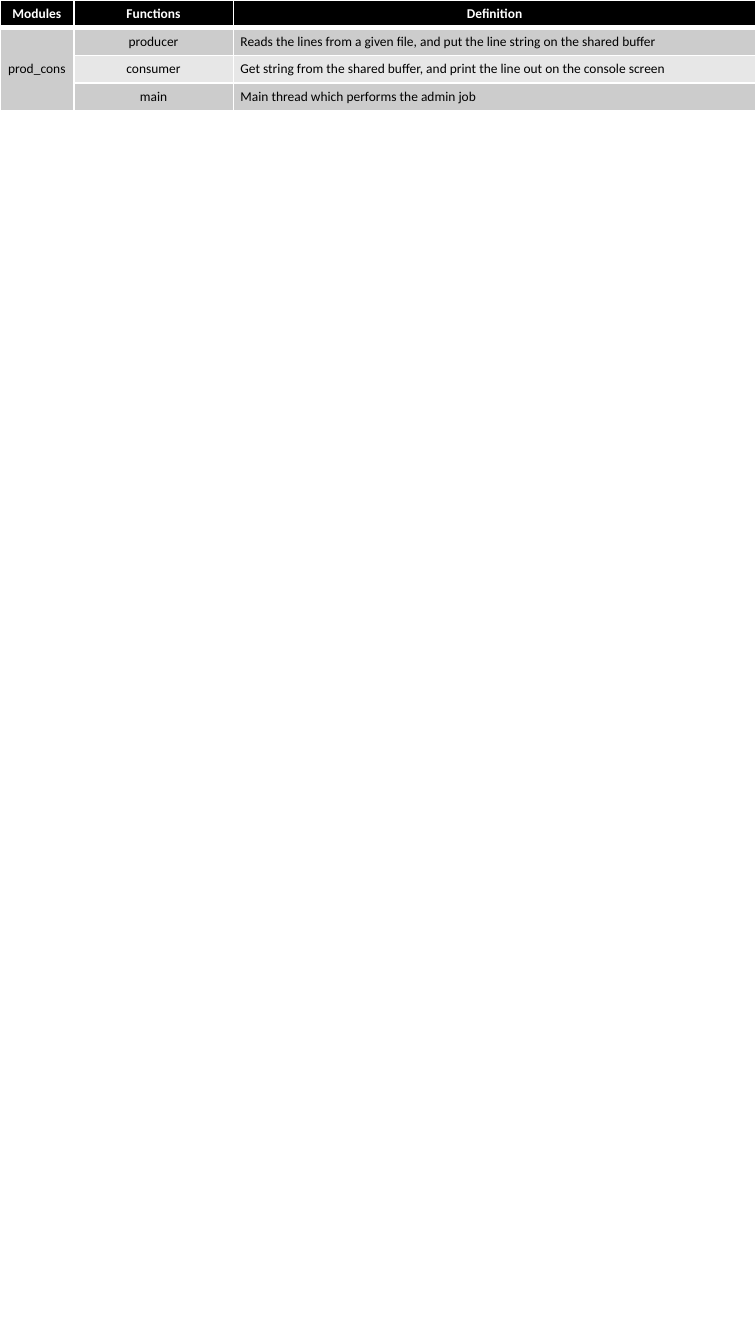
from lxml.etree import SubElement
from pptx import Presentation
from pptx.dml.color import RGBColor
from pptx.enum.text import MSO_ANCHOR as Anchor, PP_ALIGN as Align
from pptx.oxml.ns import qn
from pptx.util import Cm, Pt

WHITE = RGBColor(0xFF, 0xFF, 0xFF)
BLACK = RGBColor(0x00, 0x00, 0x00)
DARK_BAND = RGBColor(0xCC, 0xCC, 0xCC)
LIGHT_BAND = RGBColor(0xE7, 0xE7, 0xE7)

PAGE_WIDTH, PAGE_HEIGHT = Cm(15.88), Cm(28.22)
COLUMN_WIDTHS = (Cm(1.55), Cm(3.35), Cm(10.98))
ROW_HEIGHT = Cm(0.58)
THIN, THICK = Pt(1), Pt(3)

ROWS = (
    ("Modules", "Functions", "Definition"),
    ("prod_cons", "producer",
     "Reads the lines from a given file, and put the line string on the shared buffer"),
    ("", "consumer",
     "Get string from the shared buffer, and print the line out on the console screen"),
    ("", "main", "Main thread which performs the admin job"),
)


def add_borders(cell, top, bottom):
    """Draw white borders around a cell."""
    properties = cell._tc.get_or_add_tcPr()
    for side, width in (("L", THIN), ("R", THIN), ("T", top), ("B", bottom)):
        line = SubElement(properties, qn(f"a:ln{side}"), w=str(width))
        fill = SubElement(line, qn("a:solidFill"))
        SubElement(fill, qn("a:srgbClr"), val=str(WHITE))


def fill_cell(cell, text, color, is_header, align):
    """Set the fill, margins and text of a cell."""
    cell.fill.solid()
    cell.fill.fore_color.rgb = color
    cell.vertical_anchor = Anchor.MIDDLE
    cell.margin_left = cell.margin_right = Cm(0.15)
    cell.margin_top = cell.margin_bottom = Cm(0.08)
    if not text:
        return
    para = cell.text_frame.paragraphs[0]
    para.alignment = align
    span = para.add_run()
    span.text = text
    span.font.name = "Calibri"
    span.font.size = Pt(8)
    span.font.bold = is_header
    span.font.color.rgb = WHITE if is_header else BLACK


def add_module_table(page, left, top, width, height):
    """Place the table of modules and their functions in the given box."""
    frame = page.shapes.add_table(len(ROWS), len(COLUMN_WIDTHS), left, top, width, height)
    table = frame.table
    for column, column_width in zip(table.columns, COLUMN_WIDTHS):
        column.width = column_width
    for row_index, texts in enumerate(ROWS):
        table.rows[row_index].height = height // len(ROWS)
        is_header = row_index == 0
        band = DARK_BAND if row_index % 2 else LIGHT_BAND
        for column_index, text in enumerate(texts):
            cell = table.cell(row_index, column_index)
            is_definition = column_index == 2 and not is_header
            add_borders(cell, THICK if row_index == 1 else THIN, THICK if is_header else THIN)
            fill_cell(cell, text, BLACK if is_header else band, is_header,
                      Align.LEFT if is_definition else Align.CENTER)
    table.cell(1, 0).merge(table.cell(len(ROWS) - 1, 0))


def build_deck():
    """Build the one-page deck and save it."""
    deck = Presentation()
    deck.slide_width, deck.slide_height = PAGE_WIDTH, PAGE_HEIGHT
    page = deck.slides.add_slide(deck.slide_layouts[6])
    add_module_table(page, Cm(0), Cm(0), PAGE_WIDTH, ROW_HEIGHT * len(ROWS))
    deck.save("out.pptx")


build_deck()
